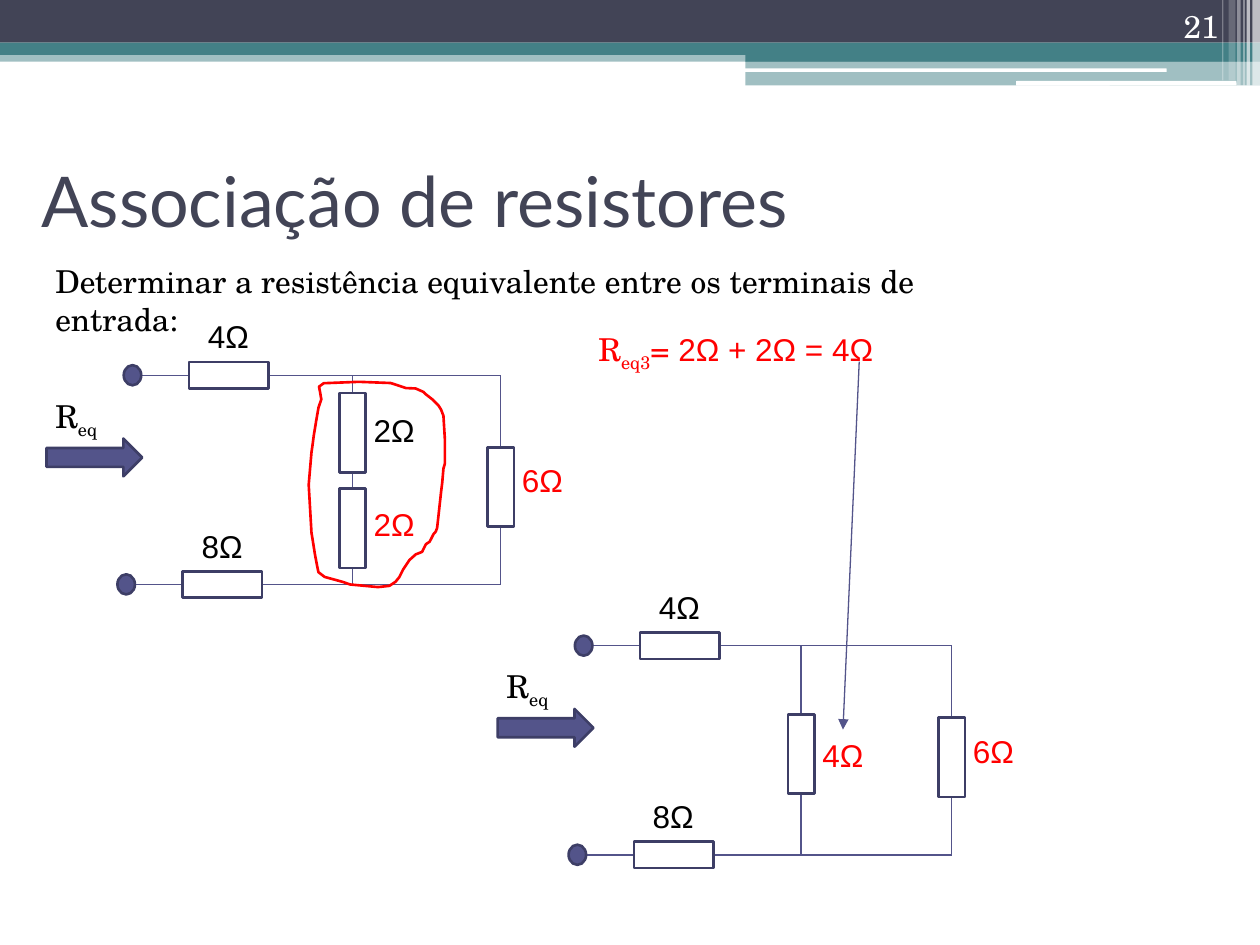
from dataclasses import dataclass
from itertools import chain

from lxml.etree import SubElement
from pptx import Presentation
from pptx.dml.color import RGBColor as Rgb
from pptx.enum.shapes import MSO_CONNECTOR as Conn, MSO_SHAPE as Kind
from pptx.enum.text import MSO_ANCHOR as Anchor, MSO_AUTO_SIZE as Fit, PP_ALIGN as Align
from pptx.oxml.ns import qn
from pptx.util import Pt

HUES = {"dark": "424456", "teal": "438086", "white": "FFFFFF", "black": "000000",
        "red": "FF0000", "blue": "53548A", "edge": "3D3E66"}
SERIF, SANS, HEAD = "TeX Gyre Schola", "Arial", "Lato"
LONG, THIN = 45.4, 15.1     # resistor body
TOP, LOW = 214.5, 334       # heights of the two main wires


@dataclass
class Bar:
    x: float
    y: float
    w: float
    h: float
    hue: str
    alpha: int = 100
    kind: Kind = Kind.RECTANGLE


@dataclass
class Part:
    """Resistor by its centre, with the top of its label."""
    x: float
    y: float
    label: str
    top: float
    hue: str = "black"


@dataclass
class Net:
    dx: float
    dy: float
    mid: list[Part]


@dataclass
class Run:
    text: str
    face: str = SERIF
    sub: bool = False


BARS = [
    Bar(0, 28.8, 720, 6.5, "teal", 50),
    Bar(0, 0, 720, 24.4, "dark"),
    Bar(0, 24.4, 720, 7, "teal"),
    Bar(426, 28.2, 294, 7, "teal"),
    Bar(426, 34.8, 294, 14, "teal", 50),
    Bar(425.5, 39.1, 241.2, 2, "white", kind=Kind.ROUNDED_RECTANGLE),
    Bar(580.6, 46.3, 126, 2.6, "white", kind=Kind.ROUNDED_RECTANGLE),
    Bar(715.7, 0, 4.3, 49, "white", 65),
    Bar(712.3, 0, 2, 49, "white", 65),
    Bar(710.5, 0, 0.7, 49, "white", 60),
    Bar(707, 0, 2, 49, "white", 40),
    Bar(702, 0, 4, 46, "white", 20),
    Bar(698.4, 0, 0.7, 46, "white", 30),
]
ROWS = [Part(130.7, TOP, "4Ω", 177.8), Part(127.1, LOW, "8Ω", 297.4)]
SIDE = Part(286.1, 278.3, "6Ω", 260, "red")
NETS = [
    Net(0, 0, [Part(201.4, 247.3, "2Ω", 231.1), Part(201.4, 302, "2Ω", 285.1, "red")]),
    Net(257.8, 154.5, [Part(200, 276.4, "4Ω", 262.4, "red")]),
]
LOOP = [
    (185, 219), (182.3, 221), (183, 224.5), (183.6, 228.2), (182, 233), (180.7, 240.5),
    (179.3, 249), (178.5, 255), (178, 258.5), (176.4, 277), (178, 304.5), (178.5, 307.5),
    (180, 317), (181.5, 324.7), (182, 327), (185.5, 329.7), (191, 331.2), (196, 332.6),
    (200, 334), (216, 335.5), (222.5, 334.8), (226, 332.5), (228.2, 329.8), (230.4, 325.4),
    (234, 320), (237.6, 316.8), (241.2, 315.4), (243.4, 311), (245.5, 309.6), (247.7, 305.3),
    (249, 303.8), (249.8, 301.7), (251.3, 288), (252, 281.5), (252.7, 275.8), (253.4, 267.8),
    (254.2, 265), (254.2, 251), (253.4, 237.6), (252, 234), (250.6, 231.8), (247, 228.2),
    (243.4, 225.4), (242, 224), (237.5, 222), (232, 221.8), (225.4, 219.6), (223.2, 218.9),
    (205, 218.2),
]

deck = Presentation()
deck.slide_width, deck.slide_height = Pt(720), Pt(540)
slide = deck.slides.add_slide(deck.slide_layouts[5])
shapes = slide.shapes


def paint(shape, fill: str = "", edge: str = "") -> None:
    shape.shadow.inherit = False
    for part, hue in ((shape.fill, fill), (shape.line.fill, edge)):
        if hue:
            part.solid()
            part.fore_color.rgb = Rgb.from_string(HUES[hue])
        else:
            part.background()
    if edge:
        shape.line.width = Pt(1.5)


def block(kind: Kind, x: float, y: float, w: float, h: float, fill: str = "", edge: str = ""):
    shape = shapes.add_shape(kind, Pt(x), Pt(y), Pt(w), Pt(h))
    paint(shape, fill, edge)
    return shape


def wire(x1: float, y1: float, x2: float, y2: float, arrow: bool = False) -> None:
    line = shapes.add_connector(Conn.STRAIGHT, Pt(x1), Pt(y1), Pt(x2), Pt(y2))
    line.line.color.rgb = Rgb.from_string(HUES["blue"])
    line.line.width = Pt(0.75)
    if arrow:
        SubElement(line.line._get_or_add_ln(), qn("a:tailEnd"), type="triangle")
    SubElement(line._element.spPr, qn("a:effectLst"))


def write(frame, runs: list[Run], hue: str, size: float = 18, **form) -> None:
    for key, val in ({"auto_size": Fit.NONE, "word_wrap": True} | form).items():
        setattr(frame, key, val)
    para = frame.paragraphs[0]
    for item in runs:
        run = para.add_run()
        run.text = item.text
        for key, val in {"name": item.face, "size": Pt(size)}.items():
            setattr(run.font, key, val)
        run.font.color.rgb = Rgb.from_string(HUES[hue])
        if item.sub:
            run._r.get_or_add_rPr().set("baseline", "-25000")


def note(x: float, y: float, w: float, runs: list[Run], hue: str = "black", **form):
    box = shapes.add_textbox(Pt(x), Pt(y), Pt(w), Pt(29))
    write(box.text_frame, runs, hue, **form)
    return box.text_frame.paragraphs[0]


def body(part: Part, dx: float, dy: float, turn: bool) -> None:
    x, y = part.x + dx, part.y + dy
    box = block(Kind.RECTANGLE, x - LONG / 2, y - THIN / 2, LONG, THIN, edge="edge")
    box.rotation = 90 if turn else 0
    note(x + (5 if turn else -19), part.top + dy, 38.2, [Run(part.label, SANS)],
         part.hue, word_wrap=False)


def column(parts: list[Part], dx: float, dy: float) -> None:
    ends = chain.from_iterable((p.y - LONG / 2, p.y + LONG / 2) for p in parts)
    stops = [TOP, *ends, LOW]
    x = parts[0].x + dx
    for y1, y2 in zip(stops[::2], stops[1::2]):
        wire(x, y1 + dy, x, y2 + dy)
    for part in parts:
        body(part, dx, dy, True)


def draw(net: Net) -> None:
    dx, dy = net.dx, net.dy
    for row in ROWS:
        x, y = row.x + dx, row.y + dy
        wire(x - 55, y, x - LONG / 2, y)
        wire(x + LONG / 2, y, SIDE.x + dx, y)
        block(Kind.OVAL, x - 60, y - 5.8, 10, 11.5, "blue", "edge")
        body(row, dx, dy, False)
    column(net.mid, dx, dy)
    column([SIDE], dx, dy)
    block(Kind.RIGHT_ARROW, 26.6 + dx, 250.6 + dy, 54.7, 21.6, "blue", "edge")
    note(24.5 + dx, 223.2 + dy, 39.6, [Run("R"), Run("eq", sub=True)], word_wrap=False)


# Header bands
for bar in BARS:
    band = block(bar.kind, bar.x, bar.y, bar.w, bar.h, bar.hue)
    if bar.alpha < 100:
        tint = band._element.spPr.find(".//" + qn("a:srgbClr"))
        SubElement(tint, qn("a:alpha"), val=str(bar.alpha * 1000))

# Title, question and page number
title = shapes.title
for key, val in {"left": 16.5, "top": 75, "width": 620.6, "height": 78.5}.items():
    setattr(title, key, Pt(val))
write(title.text_frame, [Run("Associação de resistores", HEAD)], "dark", 40,
      vertical_anchor=Anchor.MIDDLE)
title.text_frame.paragraphs[0].alignment = Align.LEFT
note(24.5, 146.2, 555.8,
     [Run("Determinar a resistência equivalente entre os terminais de entrada:")])
page = note(643.7, 0, 59.8, [Run("21")], "white", vertical_anchor=Anchor.BOTTOM)
page.alignment = Align.RIGHT

# Circuits
for net in NETS:
    draw(net)

# Series pair, its sum and where it goes
pen = shapes.build_freeform(*map(Pt, LOOP[0]))
pen.add_line_segments([(Pt(x), Pt(y)) for x, y in LOOP[1:]], close=True)
paint(pen.convert_to_shape(), edge="red")
note(334.8, 185, 180.7, [Run("R"), Run("eq3", sub=True), Run("= "),
                         Run("2Ω + 2Ω = 4Ω", SANS)], "red", word_wrap=False)
wire(491, 206.6, 481.7, 416.9, arrow=True)

deck.save("out.pptx")
